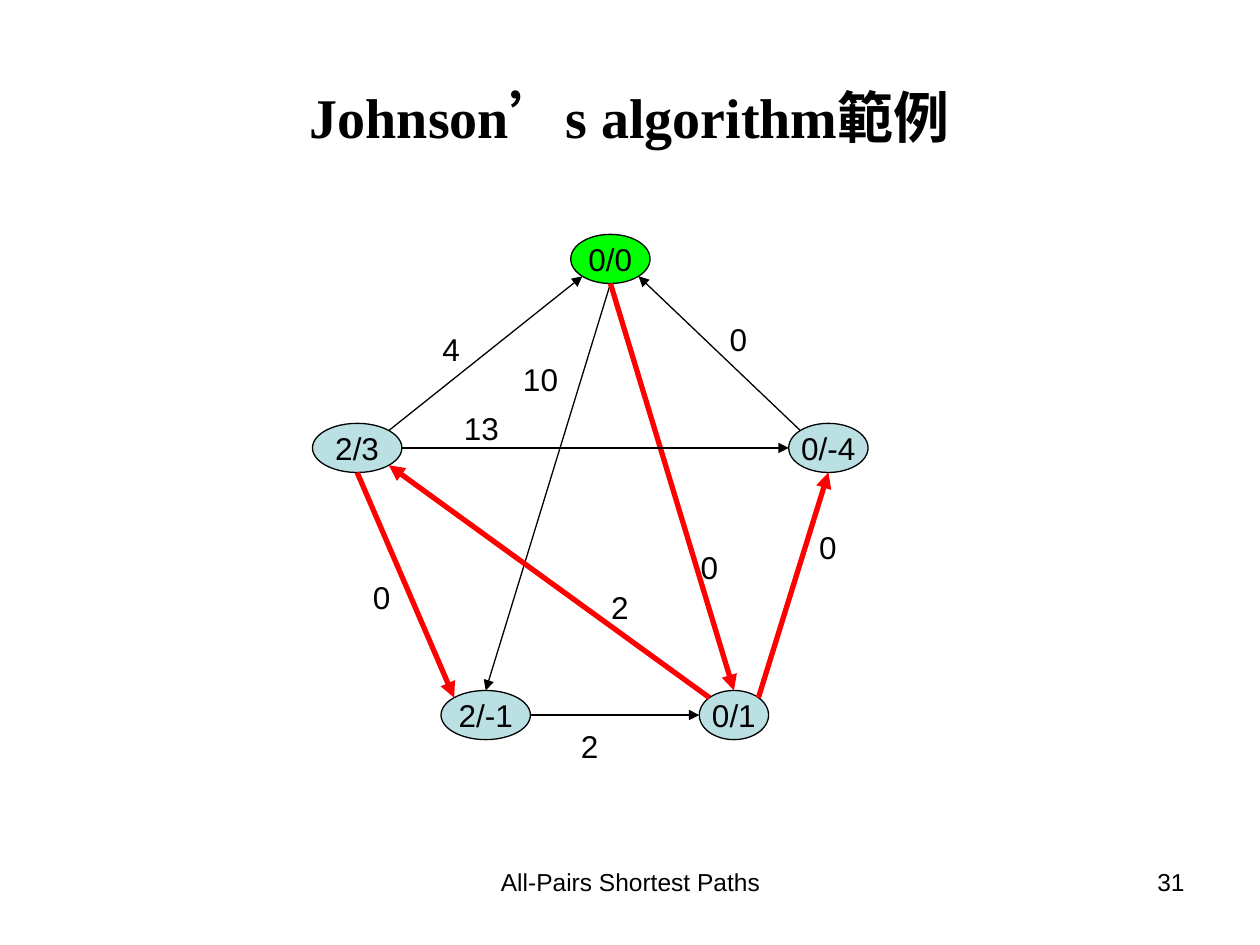
import math
import pptx
import pptx.util
import pptx.dml.color
import pptx.enum.shapes
import pptx.enum.text
import pptx.oxml
import pptx.oxml.ns
from dataclasses import dataclass

Inches = pptx.util.Inches
Align = pptx.enum.text.PP_ALIGN
Anchor = pptx.enum.text.MSO_ANCHOR


@dataclass(frozen=True)
class Theme:
    ink: str = "000000"
    node: str = "BBE0E3"
    start: str = "00FF00"
    tree: str = "FF0000"
    serif: str = "Times New Roman"
    sans: str = "Arial"
    title: int = 32
    body: int = 18
    foot: int = 14
    thin: float = 0.75
    thick: float = 3


def color(code):
    return pptx.dml.color.RGBColor.from_string(code)


class Graph:
    def __init__(self, slide, theme):
        self.slide = slide
        self.theme = theme
        self.nodes = {}

    def letter(self, shape, runs, size, font, bold=False, align=Align.CENTER,
               anchor=Anchor.TOP, wrap=True):
        frame = shape.text_frame
        frame.word_wrap = wrap
        frame.vertical_anchor = anchor
        para = frame.paragraphs[0]
        para.alignment = align
        for text in runs:
            run = para.add_run()
            run.text = text
            run.font.size = pptx.util.Pt(size)
            run.font.name = font
            run.font.bold = bold
            run.font.color.rgb = color(self.theme.ink)

    def text(self, box, runs, size, font=None, **style):
        shape = self.slide.shapes.add_textbox(*map(Inches, box))
        self.letter(shape, runs, size, font or self.theme.sans, **style)

    def node(self, name, text, box, fill):
        shape = self.slide.shapes.add_shape(
            pptx.enum.shapes.MSO_SHAPE.OVAL, *map(Inches, box))
        shape.shadow.inherit = False
        shape.fill.solid()
        shape.fill.fore_color.rgb = color(fill)
        shape.line.color.rgb = color(self.theme.ink)
        shape.line.width = pptx.util.Pt(self.theme.thin)
        self.letter(shape, [text], self.theme.body, self.theme.sans,
                    anchor=Anchor.MIDDLE, wrap=False)
        self.nodes[name] = box

    def point(self, name, angle):
        left, top, width, height = self.nodes[name]
        turn = math.radians(angle)
        return (Inches(left + width / 2 * (1 + math.cos(turn))),
                Inches(top + height / 2 * (1 - math.sin(turn))))

    def edge(self, tail, head, tree=False):
        line = self.slide.shapes.add_connector(
            pptx.enum.shapes.MSO_CONNECTOR.STRAIGHT,
            *self.point(*tail), *self.point(*head))
        line.line.color.rgb = color(self.theme.tree if tree else self.theme.ink)
        line.line.width = pptx.util.Pt(self.theme.thick if tree else self.theme.thin)
        space = pptx.oxml.ns.nsdecls("a")
        props = line._element.spPr
        stroke = props.find(pptx.oxml.ns.qn("a:ln"))
        stroke.append(pptx.oxml.parse_xml(f'<a:tailEnd {space} type="triangle"/>'))
        props.append(pptx.oxml.parse_xml(f'<a:effectLst {space}/>'))

    def label(self, text, left, top):
        self.text((left, top, 0.94, 0.4), [text], self.theme.body)


def main():
    deck = pptx.Presentation()
    deck.slide_width, deck.slide_height = Inches(10), Inches(7.5)
    theme = Theme()
    graph = Graph(deck.slides.add_slide(deck.slide_layouts[6]), theme)

    graph.text((0.5, 0.3, 9, 1.25), ["Johnson’s algorithm", "範例"], theme.title,
               theme.serif, bold=True, anchor=Anchor.MIDDLE)

    for name, text, left, top, width, fill in [
        ("top", "0/0", 4.53, 1.86, 0.63, theme.start),
        ("west", "2/3", 2.48, 3.36, 0.71, theme.node),
        ("east", "0/-4", 6.26, 3.36, 0.63, theme.node),
        ("low west", "2/-1", 3.5, 5.48, 0.71, theme.node),
        ("low east", "0/1", 5.55, 5.48, 0.55, theme.node),
    ]:
        graph.node(name, text, (left, top, width, 0.39), fill)

    for text, left, top in [
        ("4", 3.11, 2.57), ("10", 3.82, 2.81), ("0", 5.39, 2.49),
        ("2", 4.45, 4.62), ("13", 3.35, 3.2), ("0", 2.56, 4.54),
        ("2", 4.21, 5.72), ("0", 5.16, 4.3), ("0", 6.1, 4.14),
    ]:
        graph.label(text, left, top)

    for tail, head, tree in [
        (("west", 45), ("top", 225), False),
        (("east", 135), ("top", 315), False),
        (("west", 270), ("low west", 135), True),
        (("low west", 0), ("low east", 180), False),
        (("low east", 45), ("east", 270), True),
        (("top", 270), ("top", 270), False),
        (("top", 270), ("low west", 90), False),
        (("top", 270), ("low east", 90), True),
        (("low east", 135), ("west", 315), True),
        (("west", 0), ("east", 180), False),
    ]:
        graph.edge(tail, head, tree)

    graph.text((3.42, 6.83, 3.17, 0.52), ["All-Pairs Shortest Paths"], theme.foot)
    graph.text((7.17, 6.83, 2.33, 0.52), ["31"], theme.foot, align=Align.RIGHT)
    deck.save("out.pptx")


if __name__ == "__main__":
    main()
